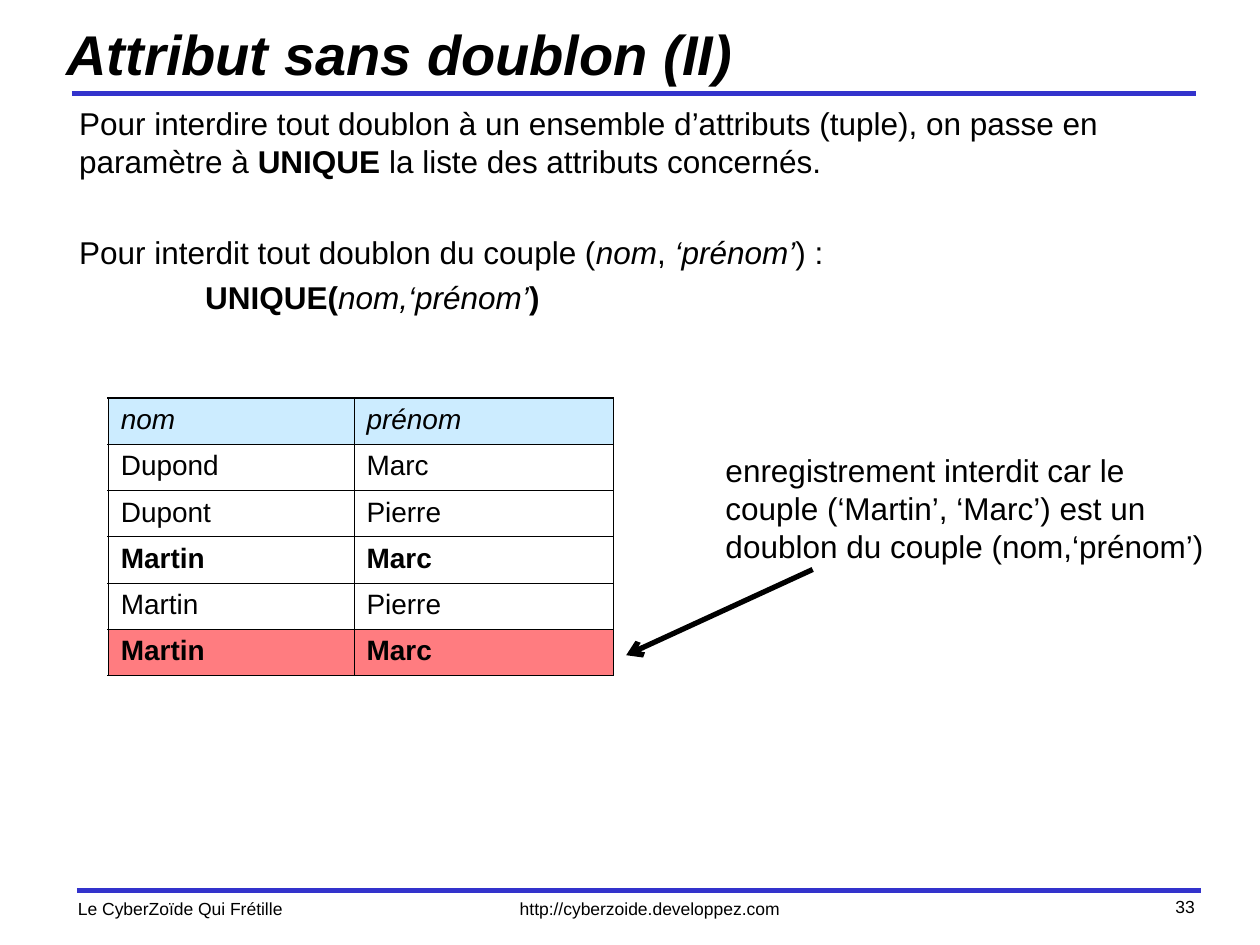
import pptx
import pptx.util
import pptx.dml.color
import pptx.enum.shapes
import pptx.enum.text
import pptx.oxml.ns
from lxml import etree

In, Pt = pptx.util.Inches, pptx.util.Pt
ALIGN = pptx.enum.text.PP_ALIGN
ANCHOR = pptx.enum.text.MSO_ANCHOR
qn = pptx.oxml.ns.qn

# Content: a paragraph is (space before, left indent in inches, runs);
# a run is (text, style), where style holds "b" and/or "i"
FONT = "Arial"
C = {"text": "000000", "rule": "3333CC", "head": "CCECFF", "bad": "FF7C80"}
TITLE = [(0, 0, [("Attribut sans doublon (II)", "bi")])]
BODY = [
    (0, 0, [("Pour interdire tout doublon à un ensemble d’attributs (tuple), "
             "on passe en paramètre à ", ""),
            ("UNIQUE", "b"), (" la liste des attributs concernés.", "")]),
    (30, 0, [("Pour interdit tout doublon du couple (", ""), ("nom", "i"),
             (", ", ""), ("‘prénom’", "i"), (") :", "")]),
    (4.5, 1, [("UNIQUE(", "b"), ("nom,‘prénom’", "i"), (")", "b")]),
]
NOTE = [(0, 0, [("enregistrement interdit car le couple (‘Martin’, ‘Marc’) est un "
                 "doublon du couple (nom,‘prénom’)", "")])]
ROWS = [  # cells, style, fill
    (("nom", "prénom"), "i", "head"),
    (("Dupond", "Marc"), "", None),
    (("Dupont", "Pierre"), "", None),
    (("Martin", "Marc"), "b", None),
    (("Martin", "Pierre"), "", None),
    (("Martin", "Marc"), "b", "bad"),
]
FOOTER = [  # text, box, alignment
    ("http://cyberzoide.developpez.com", (3.65, 7.08, 3.01, 0.27), ALIGN.CENTER),
    ("Le CyberZoïde Qui Frétille", (0.52, 7.08, 3.01, 0.27), ALIGN.LEFT),
    ("33", (7.5, 7.06, 2.08, 0.33), ALIGN.RIGHT),
]
COLS, TABLE_AT, TABLE_H = (1.95, 2.06), (0.86, 3.16), 2.2
OUTER, INNER = 1.08, 0.45


def rgb(name):
    return pptx.dml.color.RGBColor.from_string(C[name])


def fill_text(tf, paras, size, align=ALIGN.LEFT):
    for i, (before, indent, runs) in enumerate(paras):
        p = tf.paragraphs[0] if i == 0 else tf.add_paragraph()
        p.alignment = align
        if before:
            p.space_before = Pt(before)
        if indent:
            p._p.get_or_add_pPr().set("marL", str(In(indent)))
        f = p.font
        f.name, f.size, f.color.rgb = FONT, Pt(size), rgb("text")
        for text, style in runs:
            r = p.add_run()
            r.text = text
            r.font.bold, r.font.italic = "b" in style, "i" in style


def text_box(s, box, paras, size, align=ALIGN.LEFT, anchor=ANCHOR.TOP):
    tf = s.shapes.add_textbox(*map(In, box)).text_frame
    tf.word_wrap = True
    tf.vertical_anchor = anchor
    fill_text(tf, paras, size, align)


def line(s, x1, y1, x2, y2, color, arrow=False):
    sp = s.shapes.add_connector(pptx.enum.shapes.MSO_CONNECTOR.STRAIGHT,
                                In(x1), In(y1), In(x2), In(y2))
    sp.line.color.rgb, sp.line.width = rgb(color), Pt(3)
    if arrow:
        etree.SubElement(sp.line._get_or_add_ln(), qn("a:tailEnd"), type="arrow")
    etree.SubElement(sp._element.spPr, qn("a:effectLst"))


def border(cell, widths):
    for side, width in zip("LRTB", widths):
        ln = etree.SubElement(cell._tc.get_or_add_tcPr(), qn("a:ln" + side),
                              w=str(Pt(width)))
        solid = etree.SubElement(ln, qn("a:solidFill"))
        etree.SubElement(solid, qn("a:srgbClr"), val=C["text"])


def name_table(s):
    n, m = len(ROWS), len(COLS)
    t = s.shapes.add_table(n, m, *map(In, TABLE_AT), In(sum(COLS)), In(TABLE_H)).table
    t.first_row = t.horz_banding = False
    for col, width in zip(t.columns, COLS):
        col.width = In(width)
    for i, (names, style, fill) in enumerate(ROWS):
        t.rows[i].height = In(TABLE_H / n)
        for j, name in enumerate(names):
            cell = t.cell(i, j)
            fill_text(cell.text_frame, [(0, 0, [(name, style)])], 16)
            edges = (j == 0, j == m - 1, i == 0, i == n - 1)
            border(cell, [OUTER if e else INNER for e in edges])
            if fill:
                cell.fill.solid()
                cell.fill.fore_color.rgb = rgb(fill)
            else:
                cell.fill.background()


def main():
    prs = pptx.Presentation()
    prs.slide_width, prs.slide_height = In(10), In(7.5)
    s = prs.slides.add_slide(prs.slide_layouts[6])

    # Rules and footer
    for x, y in ((0.61, 7.07), (0.57, 0.74)):
        line(s, x, y, x + 8.92, y, "rule")
    for text, box, align in FOOTER:
        text_box(s, box, [(0, 0, [(text, "")])], 10, align)

    # Title and explanation
    text_box(s, (0.43, 0.09, 8.96, 0.67), TITLE, 32, anchor=ANCHOR.MIDDLE)
    text_box(s, (0.53, 0.78, 8.98, 6.13), BODY, 18)

    # Table with the note on the forbidden row
    name_table(s)
    line(s, 6.45, 4.52, 4.97, 5.2, "text", arrow=True)
    text_box(s, (5.66, 3.53, 4, 1), NOTE, 18)

    prs.save("out.pptx")


if __name__ == "__main__":
    main()
